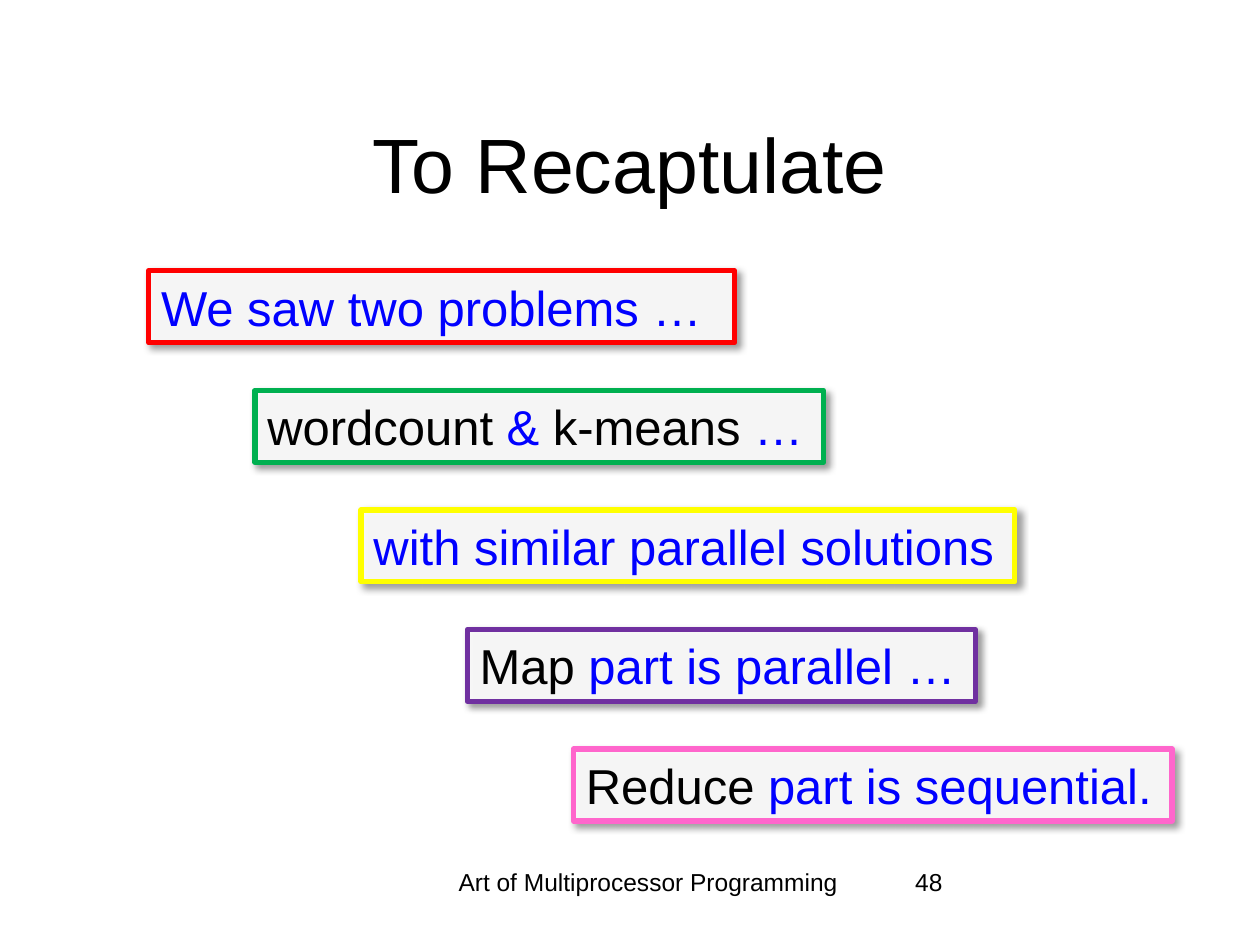
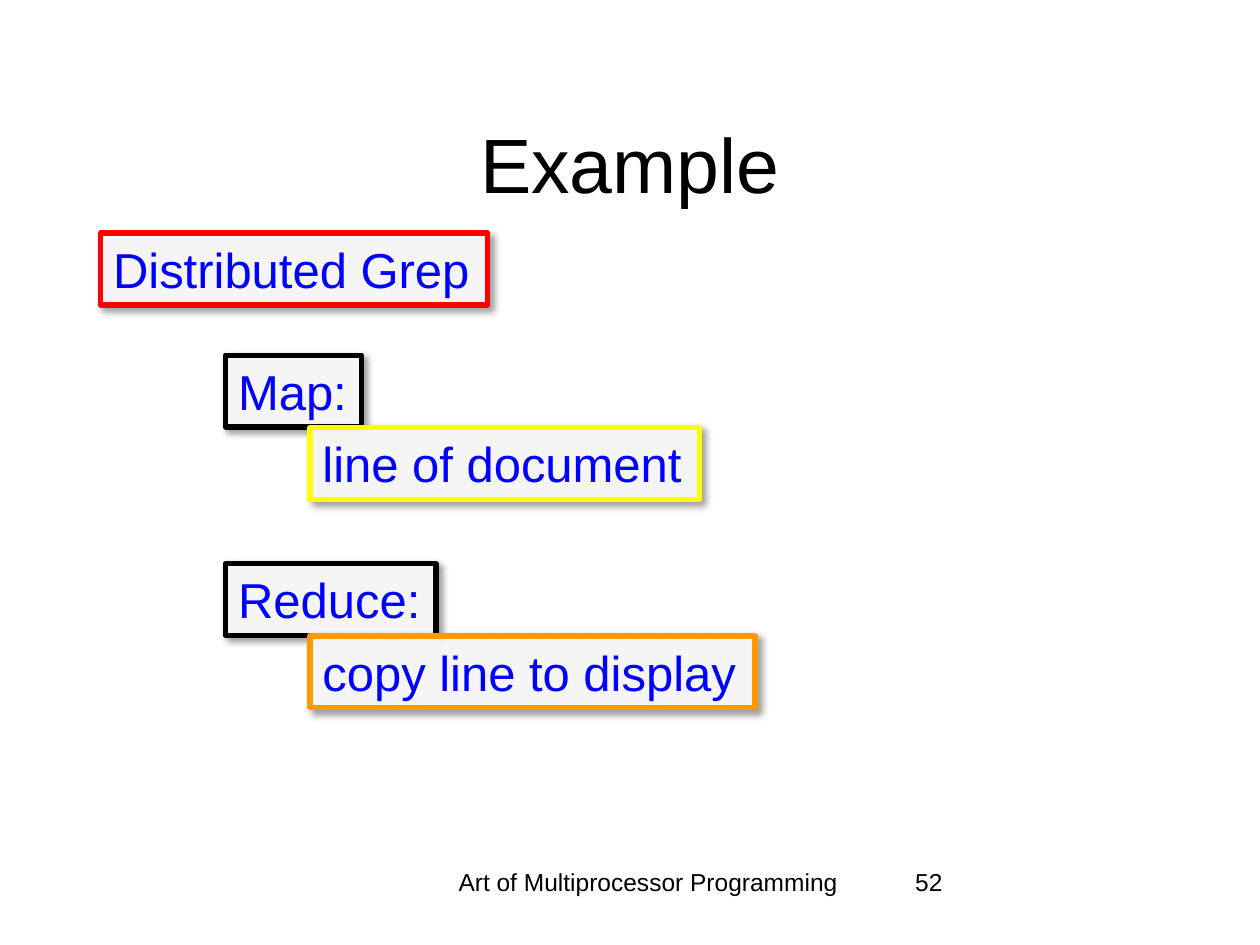
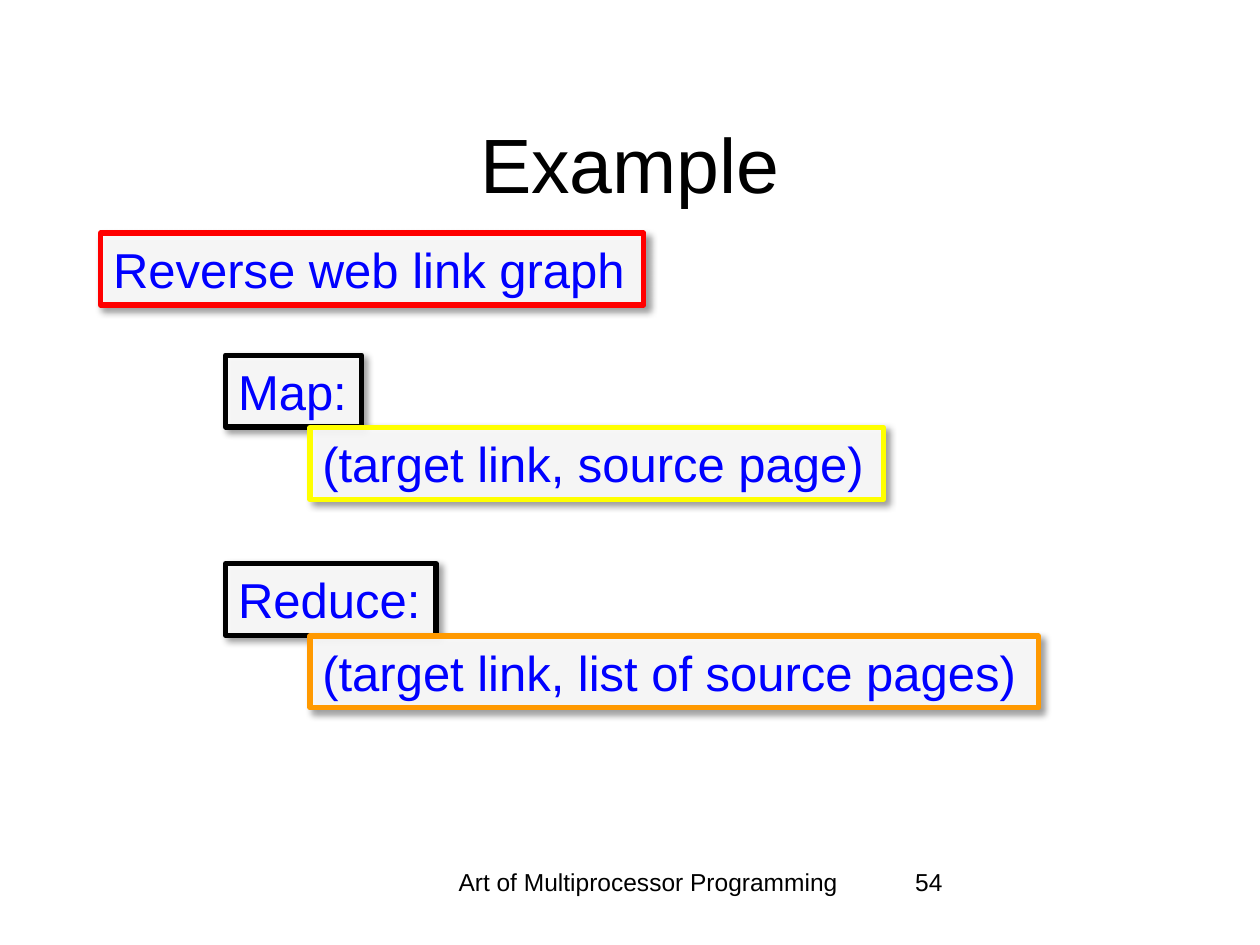
from lxml.etree import SubElement
from pptx import Presentation
from pptx.dml.color import RGBColor
from pptx.enum.shapes import MSO_SHAPE
from pptx.enum.text import MSO_ANCHOR, PP_ALIGN
from pptx.oxml.ns import qn
from pptx.util import Cm, Pt

BLACK = RGBColor(0x00, 0x00, 0x00)
WHITE = RGBColor(0xFF, 0xFF, 0xFF)
BLUE = RGBColor(0x00, 0x00, 0xFF)
RED = RGBColor(0xFF, 0x00, 0x00)
GREEN = RGBColor(0x00, 0xB0, 0x50)
YELLOW = RGBColor(0xFF, 0xFF, 0x00)
PURPLE = RGBColor(0x70, 0x30, 0xA0)
PINK = RGBColor(0xFF, 0x66, 0xCC)
ORANGE = RGBColor(0xFF, 0x99, 0x00)

TITLE_FONT = {"name": "Arial", "size": Pt(44)}
CARD_FONT = {"name": "Arial", "size": Pt(28)}
FOOTER_FONT = {"name": "Arial", "size": Pt(14)}
CARD_HEIGHT = Cm(1.45)

RECAP_CARDS = [
    (RED, Cm(11.81), [("We saw two problems …", BLUE)]),
    (GREEN, Cm(11.46), [("wordcount ", BLACK), ("& ", BLUE), ("k-means", BLACK), (" …", BLUE)]),
    (YELLOW, Cm(13.18), [("with similar parallel solutions", BLUE)]),
    (PURPLE, Cm(10.24), [("Map", BLACK), (" part is parallel …", BLUE)]),
    (PINK, Cm(12.07), [("Reduce", BLACK), (" part is sequential.", BLUE)]),
]
EXAMPLES = [
    (52, ("Distributed Grep", Cm(7.8)), ("line of document", Cm(7.85)),
     ("copy line to display", Cm(8.97))),
    (54, ("Reverse web link graph", Cm(10.95)), ("(target link, source page)", Cm(11.56)),
     ("(target link, list of source pages)", Cm(14.68))),
]


def write_spans(frame, spans, font, align=PP_ALIGN.LEFT, anchor=MSO_ANCHOR.TOP):
    """Fill a text frame with one paragraph of coloured spans."""
    frame.word_wrap = True
    frame.vertical_anchor = anchor
    para = frame.paragraphs[0]
    para.alignment = align
    for text, colour in spans:
        span = para.add_run()
        span.text = text
        for name, value in font.items():
            setattr(span.font, name, value)
        span.font.color.rgb = colour


def add_label(page, box, text, font, **layout):
    """Add a plain black text box."""
    label = page.shapes.add_textbox(*box)
    write_spans(label.text_frame, [(text, BLACK)], font, **layout)


def add_shadow(shape):
    """Give a shape a soft shadow to the lower right."""
    shape.shadow.inherit = False
    effects = shape._element.spPr.find(qn("a:effectLst"))
    shadow = SubElement(effects, qn("a:outerShdw"), blurRad=str(Pt(4)), dist=str(Pt(3)),
                        dir="2700000", algn="tl", rotWithShape="0")
    colour = SubElement(shadow, qn("a:srgbClr"), val=str(BLACK))
    SubElement(colour, qn("a:alpha"), val="40000")


def add_card(page, left, top, width, border, spans):
    """Add a translucent white card with a coloured border."""
    card = page.shapes.add_shape(MSO_SHAPE.RECTANGLE, left, top, width, CARD_HEIGHT)
    card.fill.solid()
    card.fill.fore_color.rgb = WHITE
    fill_colour = card._element.spPr.find(qn("a:solidFill"))[0]
    SubElement(fill_colour, qn("a:alpha"), val="90000")
    card.line.color.rgb = border
    card.line.width = Pt(3)
    add_shadow(card)
    write_spans(card.text_frame, spans, CARD_FONT)


def add_page(deck, title, number):
    """Add a page with its title, footer and page number."""
    page = deck.slides.add_slide(deck.slide_layouts[6])
    add_label(page, (Cm(1.9), Cm(1.7), Cm(21.6), Cm(3.18)), title, TITLE_FONT,
              align=PP_ALIGN.CENTER, anchor=MSO_ANCHOR.MIDDLE)
    add_label(page, (Cm(8.69), Cm(17.35), Cm(8.76), Cm(1.27)),
              "Art of Multiprocessor Programming", FOOTER_FONT, align=PP_ALIGN.CENTER)
    add_label(page, (Cm(18.2), Cm(17.35), Cm(5.29), Cm(1.27)), str(number), FOOTER_FONT)
    return page


def add_staircase(page, left, top, cards):
    """Place cards as steps going down to the right."""
    for step, (border, width, spans) in enumerate(cards):
        add_card(page, left + step * Cm(2.14), top + step * Cm(2.41), width, border, spans)


def add_phase(page, left, top, name, name_width, detail, border):
    """Place a phase name with its detail card below and to the right."""
    text, width = detail
    add_card(page, left, top, name_width, BLACK, [(name, BLUE)])
    add_card(page, left + Cm(1.7), top + Cm(1.46), width, border, [(text, BLUE)])


def add_example(page, left, top, topic, map_detail, reduce_detail):
    """Place a topic card followed by its two phases."""
    text, width = topic
    add_card(page, left, top, width, RED, [(text, BLUE)])
    phase_left = left + Cm(2.52)
    add_phase(page, phase_left, top + Cm(2.46), "Map:", Cm(2.74), map_detail, YELLOW)
    add_phase(page, phase_left, top + Cm(6.66), "Reduce:", Cm(4.24), reduce_detail, ORANGE)


def main():
    """Build and save the deck."""
    deck = Presentation()
    deck.slide_width, deck.slide_height = Cm(25.4), Cm(19.05)
    add_staircase(add_page(deck, "To Recaptulate", 48), Cm(3), Cm(5.46), RECAP_CARDS)
    for number, *parts in EXAMPLES:
        add_example(add_page(deck, "Example", number), Cm(2.03), Cm(4.7), *parts)
    deck.save("out.pptx")


if __name__ == "__main__":
    main()
